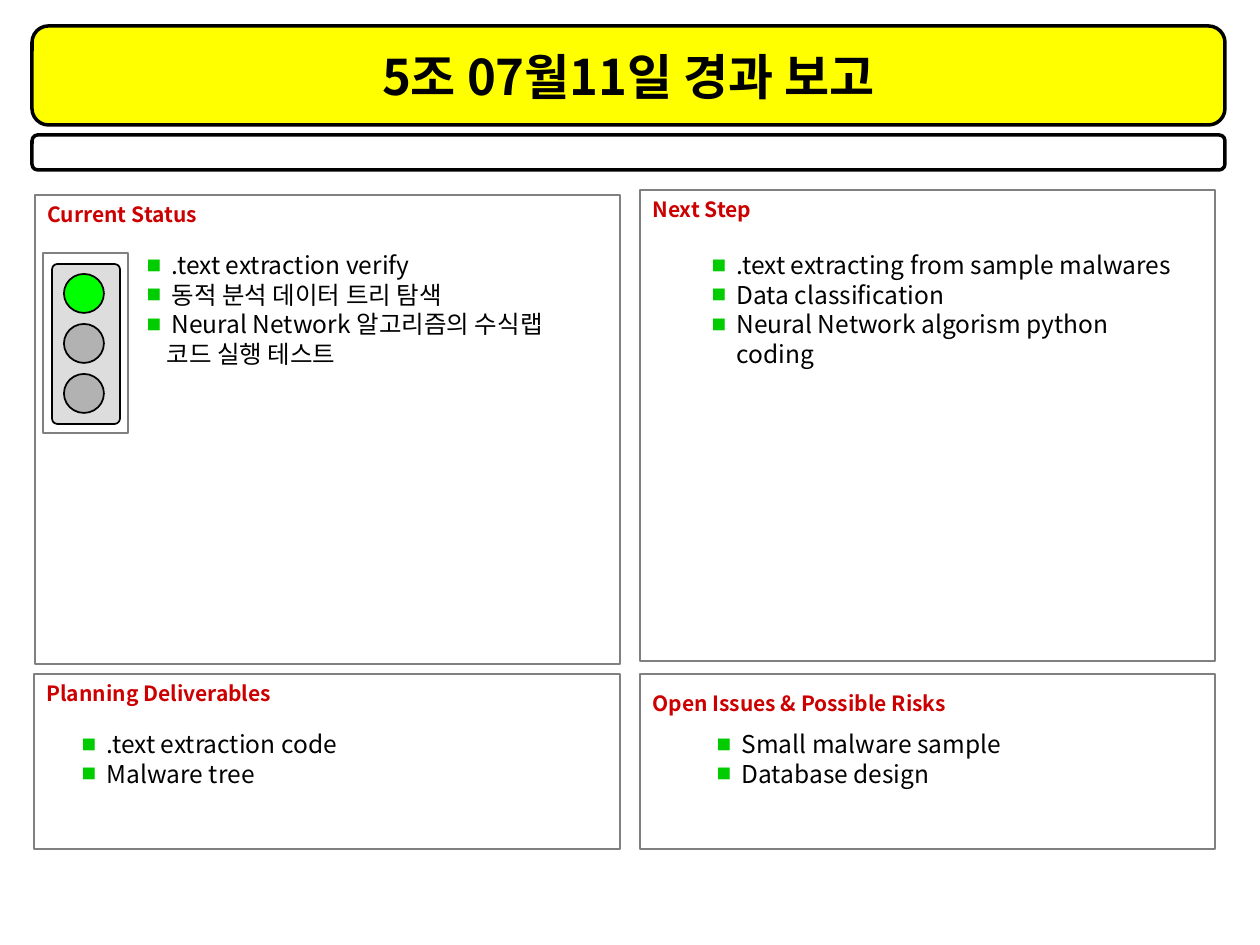
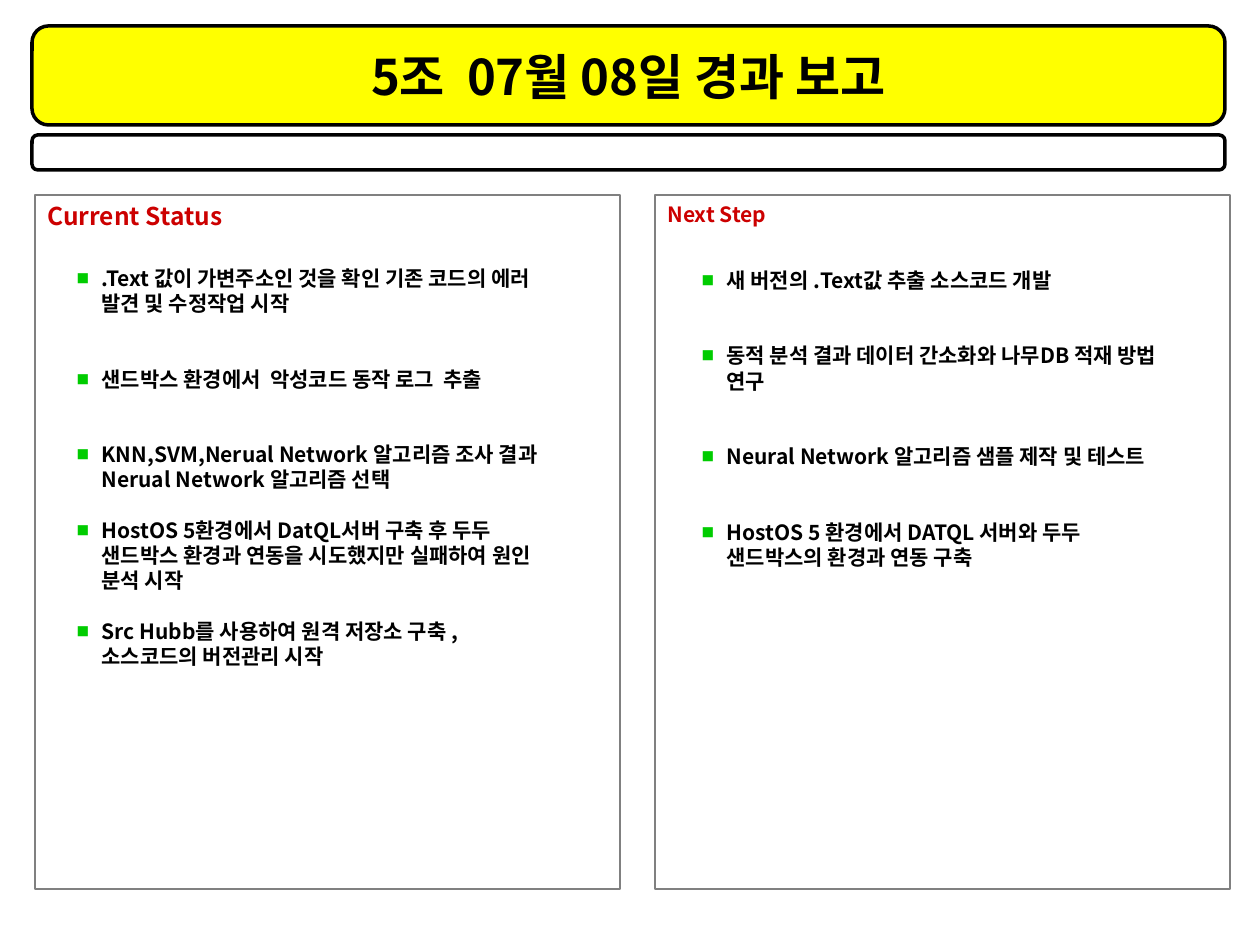
from lxml import etree
from pptx import Presentation
from pptx import util as u
from pptx.dml.color import RGBColor
from pptx.enum import shapes, text
from pptx.oxml import ns

# Shared look
SCALE = 914400 / 126          # EMU per pixel
FONT = "Noto Sans CJK KR"
BLACK, YELLOW, RED, GREY = "000000", "FFFF00", "CC0000", "808080"
BULLET, GREEN, UNLIT, CASE = "00CC00", "00FF00", "B2B2B2", "DDDDDD"
LINE_HEIGHT = 1.2             # line pitch as a multiple of the text size
BANNER = (32, 26, 1193, 99)
STRIP = (32, 135, 1193, 35)
COMPARISON, TWO_CONTENT = 4, 3
RECT = shapes.MSO_SHAPE.RECTANGLE
ROUND = shapes.MSO_SHAPE.ROUNDED_RECTANGLE
OVAL = shapes.MSO_SHAPE.OVAL


def px(n):
    return u.Emu(round(n * SCALE))


def color(hex_string):
    return RGBColor.from_string(hex_string)


def sub(parent, tag, **attrs):
    return etree.SubElement(parent, ns.qn(tag), attrs)


def add_box(s, kind, box, fill=None, line=BLACK, weight=1):
    sp = s.shapes.add_shape(kind, *map(px, box))
    sp.shadow.inherit = False
    if fill:
        sp.fill.solid()
        sp.fill.fore_color.rgb = color(fill)
    else:
        sp.fill.background()
    sp.line.color.rgb = color(line)
    sp.line.width = u.Pt(weight)
    return sp


def place(sp, box):
    sp.left, sp.top, sp.width, sp.height = map(px, box)


def write(p, words, size=12, ink=BLACK, bold=False, align=text.PP_ALIGN.LEFT,
          before=0, pitch=None, indent=0, hanging=0, bullet=False):
    """Fill one paragraph; before counts whole lines of space above it."""
    line = (pitch or size) * LINE_HEIGHT
    p.alignment = align
    p.line_spacing = u.Pt(line)
    p.space_before, p.space_after = u.Pt(before * line), u.Pt(0)
    r = p.add_run()
    r.text = words
    r.font.size, r.font.bold, r.font.name = u.Pt(size), bold, FONT
    r.font.color.rgb = color(ink)
    sub(r.font._element, "a:ea", typeface=FONT)
    pPr = p._p.get_or_add_pPr()
    pPr.set("marL", str(px(indent)))
    pPr.set("indent", str(px(-hanging)))
    if bullet:
        sub(sub(pPr, "a:buClr"), "a:srgbClr", val=BULLET)
        sub(pPr, "a:buSzPct", val="60000")
        sub(pPr, "a:buFont", typeface=FONT)
        sub(pPr, "a:buChar", char="■")
    else:
        sub(pPr, "a:buNone")


def setup_frame(sp, anchor):
    tf = sp.text_frame
    tf.word_wrap = True
    tf.auto_size = text.MSO_AUTO_SIZE.NONE
    tf.vertical_anchor = anchor
    return tf


def new_slide(prs, layout, title):
    """Add a slide with the title on a yellow banner and the strip below it."""
    s = prs.slides.add_slide(prs.slide_layouts[layout])
    banner = add_box(s, ROUND, BANNER, fill=YELLOW, weight=2)
    sp = s.shapes.title
    sp._element.addprevious(banner._element)    # banner goes behind the title
    place(sp, BANNER)
    tf = setup_frame(sp, text.MSO_ANCHOR.MIDDLE)
    write(tf.paragraphs[0], title, size=28, bold=True,
          align=text.PP_ALIGN.CENTER)
    add_box(s, ROUND, STRIP, weight=2)
    return s


def add_panel(s, box, heading, **fmt):
    sp = add_box(s, RECT, box, line=GREY)
    tf = setup_frame(sp, text.MSO_ANCHOR.TOP)
    write(tf.paragraphs[0], heading, ink=RED, bold=True, **fmt)


def fill_list(sp, box, items, **fmt):
    """Items are texts, or (text, format) pairs for the exceptions."""
    place(sp, box)
    tf = setup_frame(sp, text.MSO_ANCHOR.TOP)
    for i, item in enumerate(items):
        words, own = (item, {}) if isinstance(item, str) else item
        p = tf.add_paragraph() if i else tf.paragraphs[0]
        base = dict(indent=25, hanging=25, bullet=True)
        write(p, words, **{**base, **fmt, **own})


def fill_lists(s, lists, **fmt):
    bodies = [sp for sp in s.placeholders if sp.placeholder_format.idx in (1, 2, 3, 4)]
    for sp, (box, items) in zip(bodies, lists):
        fill_list(sp, box, items, **fmt)


def add_traffic_light(s):
    add_box(s, RECT, (43, 253, 85, 180), line=GREY)
    case = add_box(s, ROUND, (6, 310, 160, 68), fill=CASE)
    case.rotation = 90
    case.adjustments[0] = 0.08
    for i, lamp in enumerate((GREEN, UNLIT, UNLIT)):
        add_box(s, OVAL, (64, 274 + 50 * i, 40, 39), fill=lamp)


def july_11(prs):
    s = new_slide(prs, COMPARISON, "5조 07월11일 경과 보고")
    add_panel(s, (35, 195, 585, 469), "Current Status")
    add_panel(s, (640, 190, 575, 471), "Next Step")
    add_panel(s, (34, 674, 586, 175), "Planning Deliverables")
    add_panel(s, (640, 674, 575, 175), "Open Issues & Possible Risks", pitch=17)
    add_traffic_light(s)
    fill_lists(s, [
        ((134, 244, 476, 397), [
            ".text extraction verify",
            "동적 분석 데이터 트리 탐색",
            "Neural Network 알고리즘의 수식랩",
            ("코드 실행 테스트", dict(indent=20, hanging=0, bullet=False))]),
        ((699, 244, 501, 387), [
            ".text extracting from sample malwares",
            "Data classification",
            "Neural Network algorism python coding"]),
        ((69, 723, 501, 106), [".text extraction code", "Malware tree"]),
        ((704, 723, 501, 106), ["Small malware sample", "Database design"]),
    ], size=14)


def july_8(prs):
    s = new_slide(prs, TWO_CONTENT, "5조  07월 08일 경과 보고")
    add_panel(s, (35, 195, 585, 694), "Current Status", size=14)
    add_panel(s, (655, 195, 575, 694), "Next Step")
    one, two = dict(before=1), dict(before=2)
    fill_lists(s, [
        ((64, 259, 501, 546), [
            ".Text 값이 가변주소인 것을 확인 기존 코드의 에러 발견 및 수정작업 시작",
            ("샌드박스 환경에서  악성코드 동작 로그  추출", two),
            ("KNN,SVM,Nerual Network 알고리즘 조사 결과 "
             "Nerual Network 알고리즘 선택", two),
            ("HostOS 5환경에서 DatQL서버 구축 후 두두 샌드박스 환경과 "
             "연동을 시도했지만 실패하여 원인 분석 시작", one),
            ("Src Hubb를 사용하여 원격 저장소 구축 , "
             "소스코드의 버전관리 시작", one)]),
        ((689, 261, 501, 594), [
            "새 버전의 .Text값 추출 소스코드 개발",
            ("동적 분석 결과 데이터 간소화와 나무DB 적재 방법 연구", two),
            ("Neural Network 알고리즘 샘플 제작 및 테스트", two),
            ("HostOS 5 환경에서 DATQL 서버와 두두 "
             "샌드박스의 환경과 연동 구축", two)]),
    ], size=12, bold=True)


def main():
    prs = Presentation()
    prs.slide_width, prs.slide_height = u.Inches(10), u.Inches(7.5)
    july_11(prs)
    july_8(prs)
    prs.save("out.pptx")


main()
